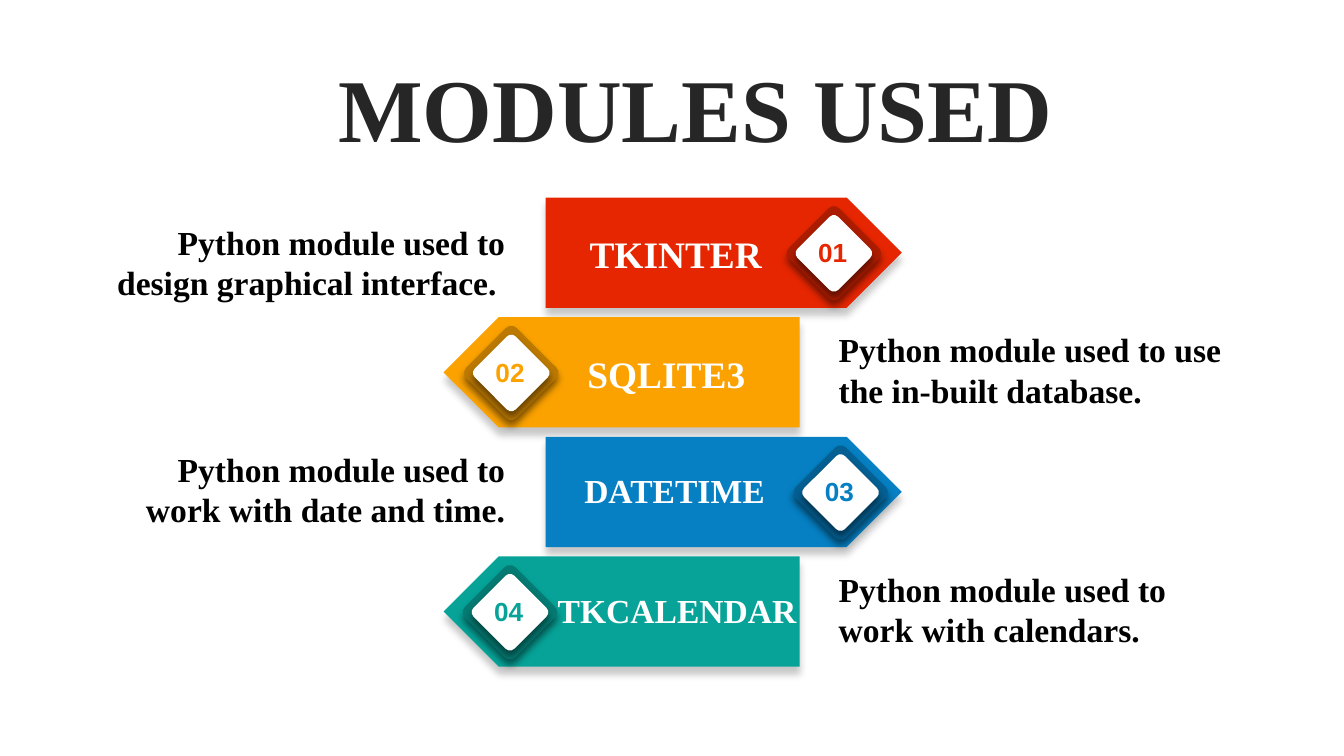
from dataclasses import dataclass

from lxml import etree
from pptx import Presentation
from pptx.dml.color import RGBColor
from pptx.enum.shapes import MSO_SHAPE
from pptx.enum.text import MSO_ANCHOR, PP_ALIGN
from pptx.oxml.ns import qn
from pptx.util import Inches, Pt

PENTAGON = MSO_SHAPE.PENTAGON
ROUNDED = MSO_SHAPE.ROUNDED_RECTANGLE
LEFT, CENTER, RIGHT = PP_ALIGN.LEFT, PP_ALIGN.CENTER, PP_ALIGN.RIGHT
TOP, MIDDLE = MSO_ANCHOR.TOP, MSO_ANCHOR.MIDDLE

SERIF, SANS = "Times New Roman", "Arial"
COLORS = {
    "white": "FFFFFF", "black": "000000", "title": "262626",
    "red": "E62601", "red_dark": "AC1C00",
    "orange": "FBA200", "orange_dark": "BC7900",
    "blue": "0680C3", "blue_dark": "045F92",
    "teal": "07A398", "teal_dark": "057A72",
}

# Slide with a 16:9 ratio, and row grid, in inches
SLIDE_WIDTH = 10
SLIDE_HEIGHT = SLIDE_WIDTH * 9 / 16
ROW_TOP, ROW_PITCH, ROW_HEIGHT = 1.47, 0.89, 0.82
ARROW_WIDTH = 2.65
ARROW_LEFT = {"right": 4.06, "left": 3.3}
NOTE_LEFT = {"right": 0.73, "left": 6.17}
NOTE_WIDTH, NOTE_HEIGHT = 3.1, 0.68
BADGE, BADGE_EDGE = 0.53, 0.05


@dataclass
class Module:
    name: str
    note: str
    color: str
    points: str
    label_left: float
    label_width: float
    label_size: int
    badge_left: float
    note_drop: float = 0.05


MODULES = [
    Module("TKINTER", "Python module used to design graphical interface. ",
           "red", "right", 4.26, 1.48, 20, 5.94, 0.14),
    Module("SQLITE3", "Python module used to use the in-built database.",
           "orange", "left", 4.3, 1.35, 20, 3.54),
    Module("DATETIME", "Python module used to work with date and time.",
           "blue", "right", 4.22, 1.54, 18, 5.99),
    Module("TKCALENDAR", "Python module used to work with calendars.",
           "teal", "left", 4.08, 2.14, 18, 3.53),
]


def rgb(name):
    return RGBColor.from_string(COLORS[name])


def write(shape, text, *, size, color, font=SERIF, align=LEFT, anchor=TOP,
          spacing=None):
    frame = shape.text_frame
    frame.word_wrap = True
    frame.vertical_anchor = anchor
    frame.margin_left = frame.margin_right = Inches(0.07)
    frame.margin_top = frame.margin_bottom = Inches(0.04)
    para = frame.paragraphs[0]
    para.alignment = align
    para.line_spacing = spacing
    span = para.add_run()
    span.text = text
    span.font.name, span.font.size = font, Pt(size)
    span.font.bold = True
    span.font.color.rgb = rgb(color)


def add_text(page, text, left, top, width, height, **text_format):
    box = page.shapes.add_textbox(*map(Inches, (left, top, width, height)))
    write(box, text, **text_format)


def add_shadow(shape, opacity, blur, distance):
    shape.shadow.inherit = False
    effects = shape._element.spPr.find(qn("a:effectLst"))
    shadow = etree.SubElement(
        effects, qn("a:outerShdw"), blurRad=str(Pt(blur)),
        dist=str(Pt(distance)), dir="5400000", algn="t", rotWithShape="0")
    tint = etree.SubElement(shadow, qn("a:srgbClr"), val=COLORS["black"])
    etree.SubElement(tint, qn("a:alpha"), val=str(opacity * 1000))


def add_block(shapes, kind, left, top, width, height, *, fill, rotation,
              corner, shadow):
    block = shapes.add_shape(kind, *map(Inches, (left, top, width, height)))
    block.adjustments[0] = corner
    block.rotation = rotation
    block.fill.solid()
    block.fill.fore_color.rgb = rgb(fill)
    block.line.fill.background()
    add_shadow(block, *shadow)


def add_badge(page, number, color, left, top):
    group = page.shapes.add_group_shape()
    # Dark diamond with a smaller white one on top
    for inset, fill in ((0, f"{color}_dark"), (BADGE_EDGE, "white")):
        side = BADGE - 2 * inset
        add_block(group.shapes, ROUNDED, left + inset, top + inset, side, side,
                  fill=fill, rotation=315, corner=0.107, shadow=(43, 4, 3))
    add_text(page, f"{number:02d}", left + 0.05, top + 0.1, 0.41, 0.3,
             size=14, color=color, font=SANS, align=CENTER)


def add_module(page, row, module):
    top = ROW_TOP + row * ROW_PITCH
    points_right = module.points == "right"
    align = RIGHT if points_right else LEFT
    # Arrow
    add_block(page.shapes, PENTAGON, ARROW_LEFT[module.points], top,
              ARROW_WIDTH, ROW_HEIGHT, fill=module.color,
              rotation=0 if points_right else 180, corner=0.5,
              shadow=(22, 4, 4))
    # Number, name and description
    add_badge(page, row + 1, module.color, module.badge_left, top + 0.15)
    add_text(page, module.name, module.label_left, top + 0.21,
             module.label_width, 0.4, size=module.label_size, color="white",
             align=align)
    add_text(page, module.note, NOTE_LEFT[module.points],
             top + module.note_drop, NOTE_WIDTH, NOTE_HEIGHT, size=18,
             color="black", align=align)


def add_title(page, text):
    title = page.shapes.title
    title.left, title.top = Inches(0.43), Inches(0.55)
    title.width, title.height = Inches(9.49), Inches(0.59)
    write(title, text, size=48, color="title", align=CENTER, anchor=MIDDLE,
          spacing=0.9)


def main():
    deck = Presentation()
    deck.slide_width = Inches(SLIDE_WIDTH)
    deck.slide_height = Inches(SLIDE_HEIGHT)
    page = deck.slides.add_slide(deck.slide_layouts[5])
    add_title(page, "MODULES USED")
    for row, module in enumerate(MODULES):
        add_module(page, row, module)
    deck.save("out.pptx")


if __name__ == "__main__":
    main()
